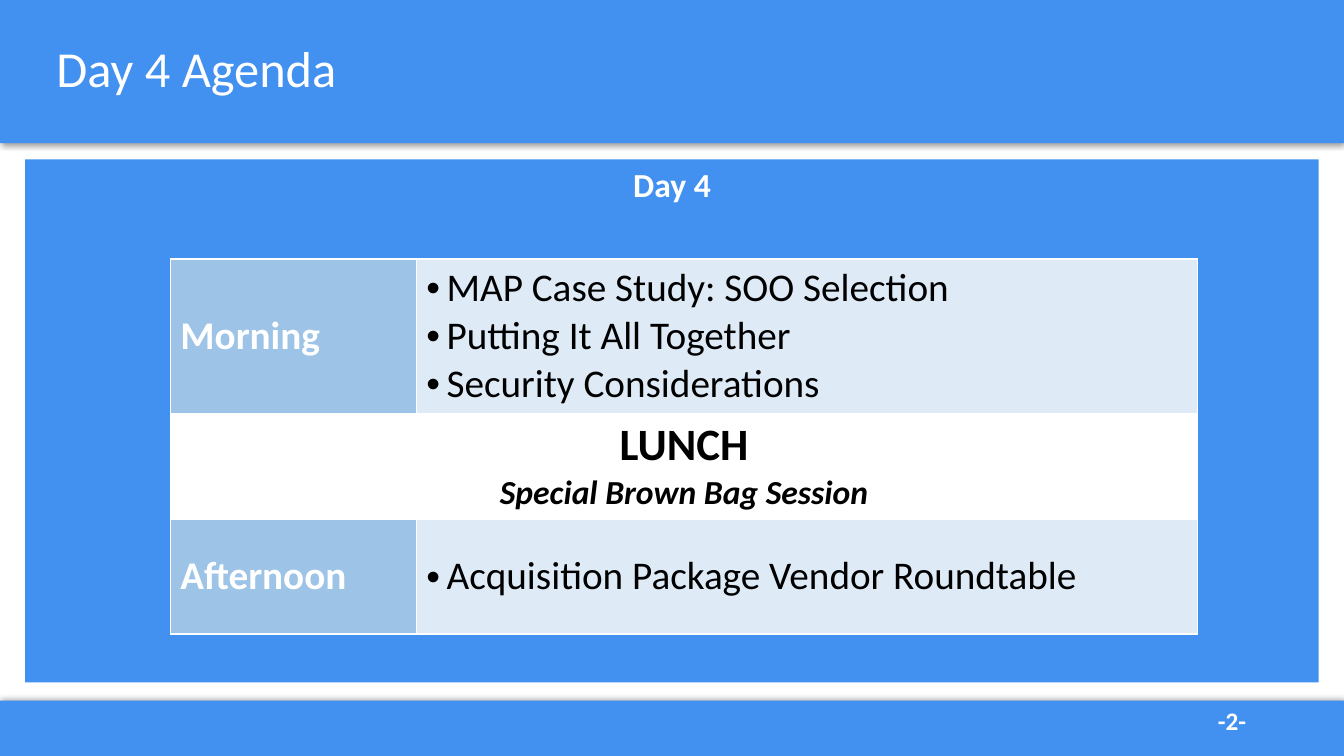
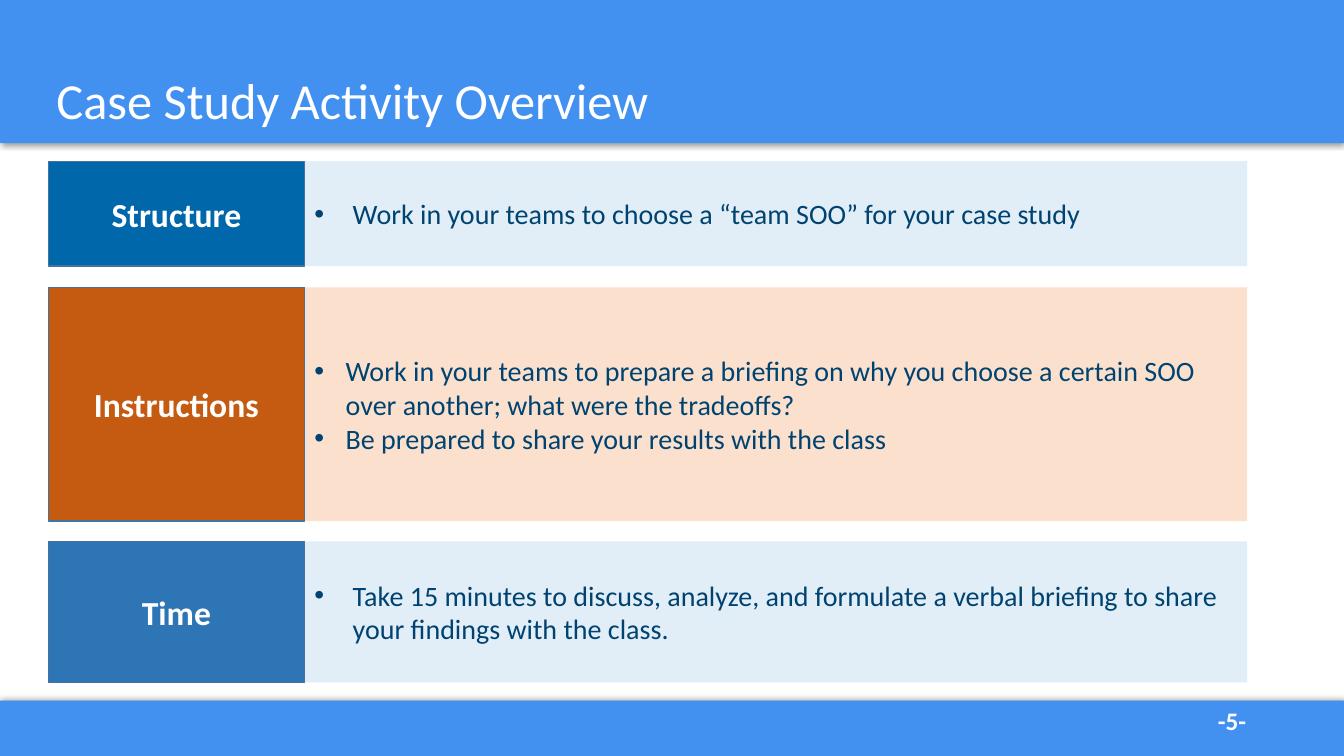
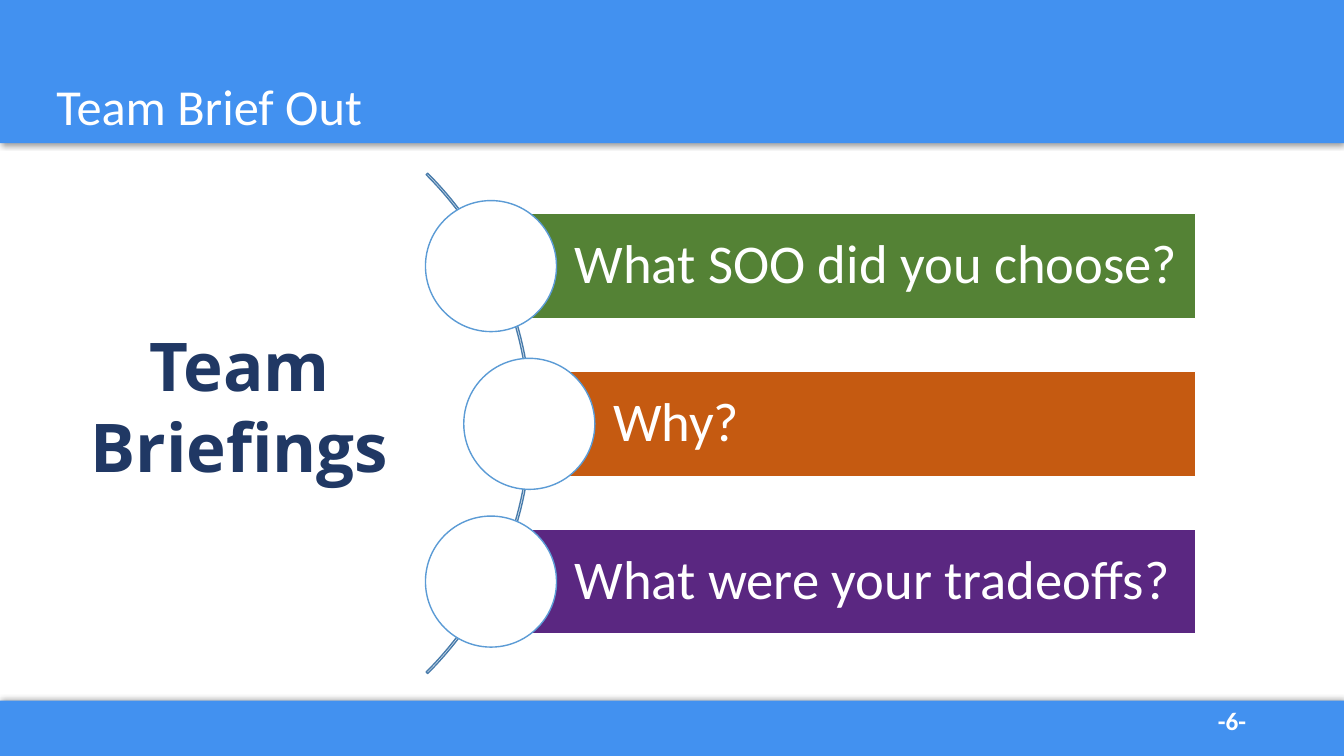
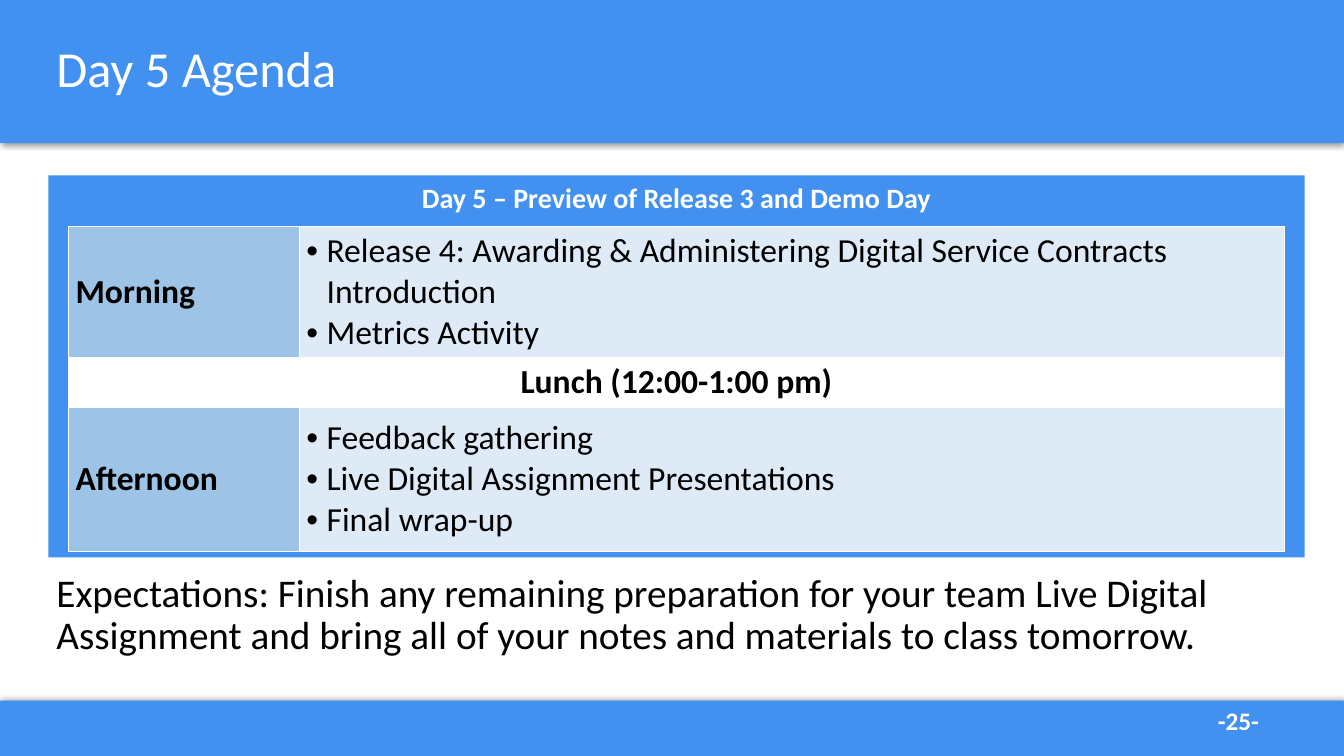
from dataclasses import dataclass, replace
from typing import NamedTuple, Optional

from lxml import etree
from pptx import Presentation
from pptx.dml.color import RGBColor
from pptx.enum.shapes import MSO_SHAPE
from pptx.enum.text import MSO_ANCHOR, MSO_AUTO_SIZE, PP_ALIGN
from pptx.oxml.ns import qn
from pptx.util import Inches, Pt

RECT, OVAL, ARC = MSO_SHAPE.RECTANGLE, MSO_SHAPE.OVAL, MSO_SHAPE.BLOCK_ARC
TOP, MIDDLE = MSO_ANCHOR.TOP, MSO_ANCHOR.MIDDLE
LEFT, CENTER = PP_ALIGN.LEFT, PP_ALIGN.CENTER
NO_FIT = MSO_AUTO_SIZE.NONE
TITLE_AND_BODY, TITLE_ONLY = 1, 5


# Theme
@dataclass(frozen=True)
class Style:
    size: int
    color: str
    bold: bool = False
    italic: bool = False
    font: str = "Calibri"


@dataclass(frozen=True)
class Theme:
    width: float = 13.33
    height: float = 7.5
    blue: str = "4291F0"
    white: str = "FFFFFF"
    label_cell: str = "9DC3E6"
    item_cell: str = "DEEBF7"
    pale_blue: str = "E1EDF7"
    pale_orange: str = "FBE0CD"
    deep_blue: str = "0067AB"
    mid_blue: str = "2E75B6"
    orange: str = "C55A11"
    green: str = "548235"
    purple: str = "5A2781"
    label_line: str = "43739E"
    arc_line: str = "497CAB"
    circle_line: str = "5B9BD5"
    title: Style = Style(36, "FFFFFF")
    page: Style = Style(18, "FFFFFF", bold=True)
    label: Style = Style(24, "FFFFFF", bold=True)
    detail: Style = Style(20, "004370")
    question: Style = Style(39, "FFFFFF")
    headline: Style = Style(48, "203864", bold=True, font="Open Sans")
    body: Style = Style(28, "000000")


THEME = Theme()


class Box(NamedTuple):
    left: float
    top: float
    width: float
    height: float

    def lengths(self) -> list:
        return [Inches(value) for value in self]


# Content records
class Line(NamedTuple):
    text: str
    style: Style


class Session(NamedTuple):
    label: str
    items: list[str]


@dataclass(frozen=True)
class Agenda:
    title: str
    page: int
    heading: Line
    panel: Box
    table: Box
    label_width: float
    row_heights: list[float]
    margins: tuple[float, float]
    label_style: Style
    item_style: Style
    morning: Session
    lunch: list[Line]
    afternoon: Session
    expectations: str = ""


class Step(NamedTuple):
    label: str
    details: list[str]
    top: float
    height: float
    indent: float
    color: str
    tint: str


class Question(NamedTuple):
    text: str
    left: float
    color: str


# Drawing helpers
def set_bullet(paragraph, indent: float, mark: str = "•") -> None:
    """Hang the paragraph from a mark, or clear its bullet when mark is empty."""
    props = paragraph._p.get_or_add_pPr()
    props.set("marL", str(Inches(indent)))
    props.set("indent", str(-Inches(indent)))
    if mark:
        etree.SubElement(props, qn("a:buFont")).set("typeface", "Arial")
        etree.SubElement(props, qn("a:buChar")).set("char", mark)
    else:
        etree.SubElement(props, qn("a:buNone"))


def write(frame, lines: list[Line], align=LEFT, anchor=MIDDLE,
          spacing: Optional[float] = None, indent: float = 0) -> None:
    frame.word_wrap = True
    frame.vertical_anchor = anchor
    frame.text = "\n".join(line.text for line in lines)
    for paragraph, line in zip(frame.paragraphs, lines):
        paragraph.alignment = align
        if spacing:
            paragraph.line_spacing = spacing
        if indent:
            set_bullet(paragraph, indent)
        for run in paragraph.runs:
            font, style = run.font, line.style
            font.name, font.size = style.font, Pt(style.size)
            font.bold, font.italic = style.bold, style.italic
            font.color.rgb = RGBColor.from_string(style.color)


def styled(texts: list[str], style: Style) -> list[Line]:
    return [Line(text, style) for text in texts]


def add_block(slide, kind, box: Box, fill: str = "", line: str = ""):
    block = slide.shapes.add_shape(kind, *box.lengths())
    block.shadow.inherit = False
    if fill:
        block.fill.solid()
        block.fill.fore_color.rgb = RGBColor.from_string(fill)
    else:
        block.fill.background()
    if line:
        block.line.color.rgb = RGBColor.from_string(line)
        block.line.width = Pt(1)
    else:
        block.line.fill.background()
    return block


def add_text(slide, box: Box, lines: list[Line], align=LEFT) -> None:
    frame = slide.shapes.add_textbox(*box.lengths()).text_frame
    write(frame, lines, align, TOP)


def place(placeholder, box: Box) -> None:
    (placeholder.left, placeholder.top,
     placeholder.width, placeholder.height) = box.lengths()
    placeholder.text_frame.auto_size = NO_FIT


# Shared frame
def add_master_bands(prs, slide) -> None:
    """Draw the two shadowed bands and move them behind everything on the master."""
    tree = prs.slide_master.shapes._spTree
    bands = [(Box(0, 6.95, THEME.width, 0.55), 270), (Box(0, 0, THEME.width, 1.42), 90)]
    for position, (box, direction) in enumerate(bands, start=2):
        band = add_block(slide, RECT, box, THEME.blue)
        effects = band._element.spPr.find(qn("a:effectLst"))
        shadow = etree.SubElement(effects, qn("a:outerShdw"), blurRad=str(Pt(4)),
                                  dist=str(Pt(1)), dir=str(direction * 60000))
        color = etree.SubElement(shadow, qn("a:srgbClr"), val="000000")
        etree.SubElement(color, qn("a:alpha"), val="40000")
        tree.insert(position, band._element)


def add_slide(prs, title: str, page: int, title_top: float = -0.02,
              layout: int = TITLE_ONLY):
    slide = prs.slides.add_slide(prs.slide_layouts[layout])
    if len(prs.slides) == 1:
        add_master_bands(prs, slide)
    place(slide.shapes.title, Box(0.46, title_top, 12.42, 1.45))
    write(slide.shapes.title.text_frame, [Line(title, THEME.title)], spacing=0.9)
    add_text(slide, Box(11.98, 6.95, 0.98, 0.4), [Line(f"-{page}-", THEME.page)])
    return slide


# Agenda slides
def border_cell(cell) -> None:
    props = cell._tc.get_or_add_tcPr()
    for position, side in enumerate(("lnL", "lnR", "lnT", "lnB")):
        edge = etree.Element(qn(f"a:{side}"), w=str(Pt(1)))
        fill = etree.SubElement(edge, qn("a:solidFill"))
        etree.SubElement(fill, qn("a:srgbClr"), val=THEME.white)
        props.insert(position, edge)


def fill_cell(cell, fill: str, margins: tuple[float, float], lines: list[Line],
              align=LEFT, indent: float = 0) -> None:
    cell.fill.solid()
    cell.fill.fore_color.rgb = RGBColor.from_string(fill)
    cell.margin_left = cell.margin_right = Inches(margins[0])
    cell.margin_top = cell.margin_bottom = Inches(margins[1])
    write(cell.text_frame, lines, align, indent=indent)
    cell.vertical_anchor = MIDDLE


def add_agenda_table(slide, agenda: Agenda) -> None:
    table = slide.shapes.add_table(3, 2, *agenda.table.lengths()).table
    table.first_row = table.horz_banding = False
    table.columns[0].width = Inches(agenda.label_width)
    table.columns[1].width = Inches(agenda.table.width - agenda.label_width)
    for row, height in zip(table.rows, agenda.row_heights):
        row.height = Inches(height)
    for row, session in ((0, agenda.morning), (2, agenda.afternoon)):
        fill_cell(table.cell(row, 0), THEME.label_cell, agenda.margins,
                  [Line(session.label, agenda.label_style)])
        fill_cell(table.cell(row, 1), THEME.item_cell, agenda.margins,
                  styled(session.items, agenda.item_style), indent=0.2)
    table.cell(1, 0).merge(table.cell(1, 1))
    fill_cell(table.cell(1, 0), THEME.white, agenda.margins, agenda.lunch, CENTER)
    for cell in table.iter_cells():
        border_cell(cell)


def build_agenda(prs, agenda: Agenda) -> None:
    layout = TITLE_AND_BODY if agenda.expectations else TITLE_ONLY
    slide = add_slide(prs, agenda.title, agenda.page, layout=layout)
    if agenda.expectations:
        body = slide.placeholders[1]
        place(body, Box(0.46, 5.64, 12.42, 1.52))
        write(body.text_frame, [Line(agenda.expectations, THEME.body)],
              anchor=TOP, spacing=0.9)
        paragraph = body.text_frame.paragraphs[0]
        paragraph.space_before = Pt(10)
        set_bullet(paragraph, 0, "")
    panel = add_block(slide, RECT, agenda.panel, THEME.blue)
    write(panel.text_frame, [agenda.heading], CENTER, TOP)
    add_agenda_table(slide, agenda)


# Activity slide
def build_activity(prs, steps: list[Step]) -> None:
    slide = add_slide(prs, "Case Study Activity Overview", 5, title_top=0.3)
    label_left, label_width, detail_width = 0.48, 2.54, 9.35
    for step in steps:
        detail = add_block(slide, RECT, Box(label_left + label_width, step.top,
                                            detail_width, step.height), step.tint)
        write(detail.text_frame, styled(step.details, THEME.detail), indent=step.indent)
        label = add_block(slide, RECT, Box(label_left, step.top, label_width, step.height),
                          step.color, THEME.label_line)
        write(label.text_frame, [Line(step.label, THEME.label)], CENTER)


# Briefing slide
def build_briefing(prs, questions: list[Question]) -> None:
    slide = add_slide(prs, "Team Brief Out", 6, title_top=0.36)
    arc = add_block(slide, ARC, Box(-1.75, 0.69, 7.02, 7.02), line=THEME.arc_line)
    for index, value in enumerate((189, 27, 0.003)):
        arc.adjustments[index] = value

    first_top, pitch, bar_height, bar_right, circle = 2.12, 1.565, 1.04, 11.86, 1.3
    for index, question in enumerate(questions):
        top = first_top + index * pitch
        bar = add_block(slide, RECT, Box(question.left, top, bar_right - question.left,
                                         bar_height), question.color, THEME.white)
        frame = bar.text_frame
        frame.margin_left = Inches(0.83)
        frame.margin_right = frame.margin_top = frame.margin_bottom = Inches(0.11)
        write(frame, [Line(question.text, THEME.question)], spacing=0.9)
        add_block(slide, OVAL, Box(question.left - circle / 2,
                                   top + (bar_height - circle) / 2, circle, circle),
                  THEME.white, THEME.circle_line)
    add_text(slide, Box(0.6, 3.17, 3.55, 1.72),
             styled(["Team", "Briefings"], THEME.headline), CENTER)


# Content
BODY_24 = replace(THEME.body, size=24)
BOLD_24 = replace(BODY_24, bold=True)

DAY_4 = Agenda(
    title="Day 4 Agenda", page=2,
    heading=Line("Day 4", THEME.label),
    panel=Box(0.25, 1.58, 12.83, 5.19),
    table=Box(1.69, 2.57, 10.19, 3.72),
    label_width=2.44, row_heights=[1.53, 1.05, 1.14], margins=(0.1, 0.05),
    label_style=replace(THEME.label, size=28), item_style=THEME.body,
    morning=Session("Morning", ["MAP Case Study: SOO Selection",
                                "Putting It All Together",
                                "Security Considerations"]),
    lunch=[Line("LUNCH", replace(BOLD_24, size=32)),
           Line("Special Brown Bag Session", replace(BOLD_24, italic=True))],
    afternoon=Session("Afternoon", ["Acquisition Package Vendor Roundtable"]),
)

DAY_5 = Agenda(
    title="Day 5 Agenda", page=25,
    heading=Line("Day 5 – Preview of Release 3 and Demo Day", replace(THEME.label, size=20)),
    panel=Box(0.48, 1.74, 12.46, 3.79),
    table=Box(0.68, 2.25, 12.06, 3.22),
    label_width=2.29, row_heights=[1.3, 0.49, 1.43], margins=(0.07, 0.04),
    label_style=BOLD_24, item_style=BODY_24,
    morning=Session("Morning", [
        "Release 4: Awarding & Administering Digital Service Contracts Introduction",
        "Metrics Activity"]),
    lunch=[Line("Lunch (12:00-1:00 pm)", BOLD_24)],
    afternoon=Session("Afternoon", ["Feedback gathering",
                                    "Live Digital Assignment Presentations",
                                    "Final wrap-up"]),
    expectations="Expectations: Finish any remaining preparation for your team Live Digital "
                 "Assignment and bring all of your notes and materials to class tomorrow.",
)

STEPS = [
    Step("Structure", ["Work in your teams to choose a “team SOO” for your case study"],
         1.6, 1.04, 0.38, THEME.deep_blue, THEME.pale_blue),
    Step("Instructions",
         ["Work in your teams to prepare a briefing on why you choose a certain SOO "
          "over another; what were the tradeoffs?",
          "Be prepared to share your results with the class"],
         2.85, 2.32, 0.31, THEME.orange, THEME.pale_orange),
    Step("Time",
         ["Take 15 minutes to discuss, analyze, and formulate a verbal briefing to share "
          "your findings with the class."],
         5.37, 1.4, 0.38, THEME.mid_blue, THEME.pale_blue),
]

QUESTIONS = [
    Question("What SOO did you choose?", 4.87, THEME.green),
    Question("Why?", 5.25, THEME.orange),
    Question("What were your tradeoffs?", 4.87, THEME.purple),
]


def main() -> None:
    prs = Presentation()
    prs.slide_width, prs.slide_height = Inches(THEME.width), Inches(THEME.height)
    build_agenda(prs, DAY_4)
    build_activity(prs, STEPS)
    build_briefing(prs, QUESTIONS)
    build_agenda(prs, DAY_5)
    prs.save("out.pptx")


if __name__ == "__main__":
    main()
